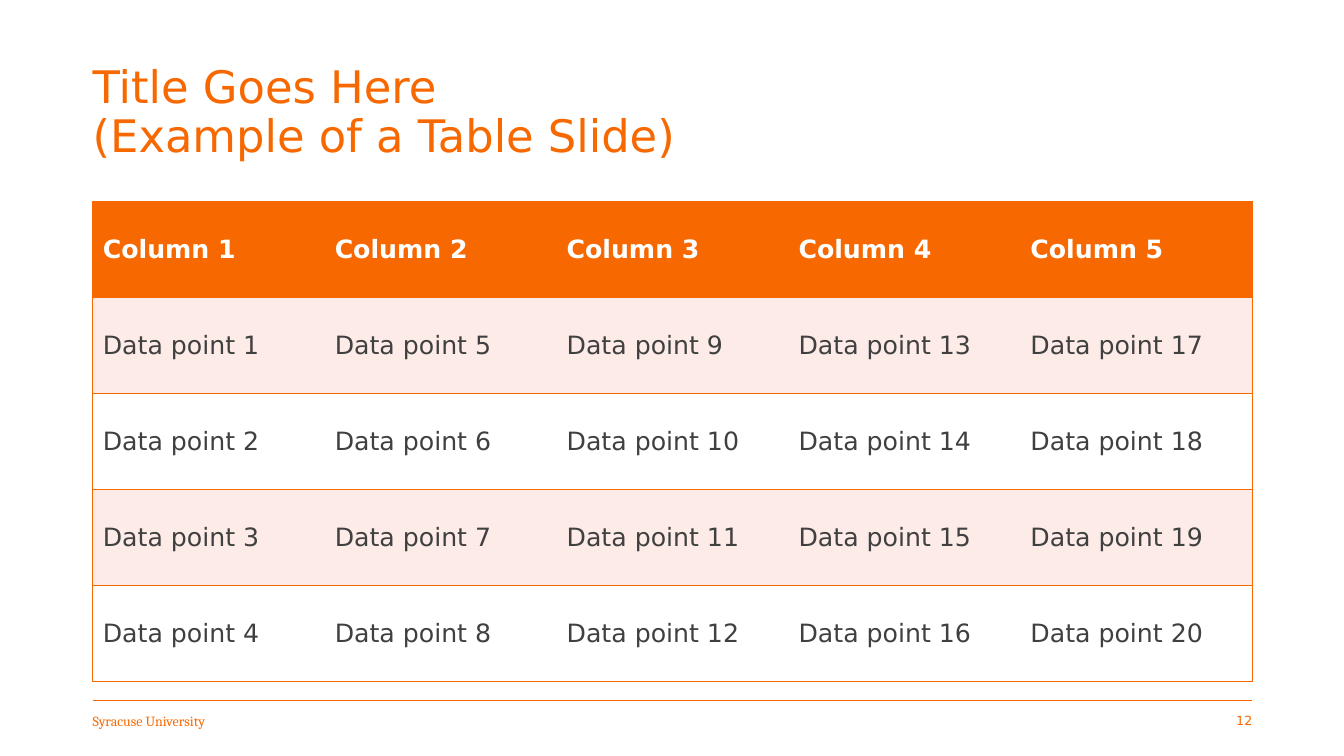
from lxml.etree import SubElement
from pptx import Presentation
from pptx.dml.color import RGBColor
from pptx.enum.shapes import MSO_CONNECTOR
from pptx.enum.text import MSO_ANCHOR, PP_ALIGN
from pptx.oxml.ns import qn
from pptx.util import Inches, Pt

COLORS = {
    "orange": "F76900",
    "blush": "FDEBE7",
    "white": "FFFFFF",
    "text": "3F403F",
}
SANS, SERIF = "DejaVu Sans", "Cambria"
LEFT, WIDTH = 0.92, 11.5
COLUMNS, DATA_ROWS = 5, 4


def color(name):
    return RGBColor.from_string(COLORS[name])


def style_runs(para, size, color_name, font=SANS, bold=False):
    for span in para.runs:
        span.font.name = font
        span.font.size = Pt(size)
        span.font.bold = bold
        span.font.color.rgb = color(color_name)


def add_text(page, box, text, size, font=SANS, align=PP_ALIGN.LEFT):
    """Add orange text, centred vertically in box, and return its paragraph."""
    frame = page.shapes.add_textbox(*map(Inches, box)).text_frame
    frame.word_wrap = True
    frame.margin_left = frame.margin_right = 0
    frame.vertical_anchor = MSO_ANCHOR.MIDDLE
    para = frame.paragraphs[0]
    para.text = text
    para.alignment = align
    style_runs(para, size, "orange", font)
    return para


def add_title(page, box):
    para = add_text(page, box, "Title Goes Here\v(Example of a Table Slide)", 32)
    para.line_spacing = 0.9


def set_borders(cell, sides):
    """Draw the given sides of a cell in orange and hide the others."""
    properties = cell._tc.get_or_add_tcPr()
    for side in "LRTB":
        line = SubElement(properties, qn(f"a:ln{side}"), w=str(Pt(1)))
        if side in sides:
            fill = SubElement(line, qn("a:solidFill"))
            SubElement(fill, qn("a:srgbClr"), val=COLORS["orange"])
        else:
            SubElement(line, qn("a:noFill"))


def fill_cell(cell, row, column):
    header = row == 0
    outer_sides = {0: "L", COLUMNS - 1: "R"}
    set_borders(cell, "TB" + outer_sides.get(column, ""))
    cell.fill.solid()
    band = "blush" if row % 2 else "white"
    cell.fill.fore_color.rgb = color("orange" if header else band)
    cell.vertical_anchor = MSO_ANCHOR.MIDDLE
    para = cell.text_frame.paragraphs[0]
    if header:
        para.text = f"Column {column + 1}"
    else:
        para.text = f"Data point {column * DATA_ROWS + row}"
    style_runs(para, 18, "white" if header else "text", bold=header)


def add_data_table(page, box):
    frame = page.shapes.add_table(DATA_ROWS + 1, COLUMNS, *map(Inches, box))
    table = frame.table
    table.first_row = table.horz_banding = False
    for row in range(DATA_ROWS + 1):
        for column in range(COLUMNS):
            fill_cell(table.cell(row, column), row, column)


def add_footer(page, box):
    left, top, width, height = box
    label_width = 2.1
    right = left + width
    rule = page.shapes.add_connector(
        MSO_CONNECTOR.STRAIGHT, *map(Inches, (left, top, right, top)))
    rule.line.color.rgb = color("orange")
    rule.line.width = Pt(0.5)
    SubElement(rule._element.spPr, qn("a:effectLst"))
    add_text(page, (left, top, label_width, height),
             "Syracuse University", 10, SERIF)
    add_text(page, (right - label_width, top, label_width, height),
             "12", 9, align=PP_ALIGN.RIGHT)


def main():
    deck = Presentation()
    deck.slide_width, deck.slide_height = Inches(13.33), Inches(7.5)
    page = deck.slides.add_slide(deck.slide_layouts[6])
    add_footer(page, (LEFT, 6.95, WIDTH, 0.4))
    add_title(page, (LEFT, 0.4, WIDTH, 1.45))
    add_data_table(page, (LEFT, 2, WIDTH, 4.76))
    deck.save("out.pptx")


if __name__ == "__main__":
    main()
